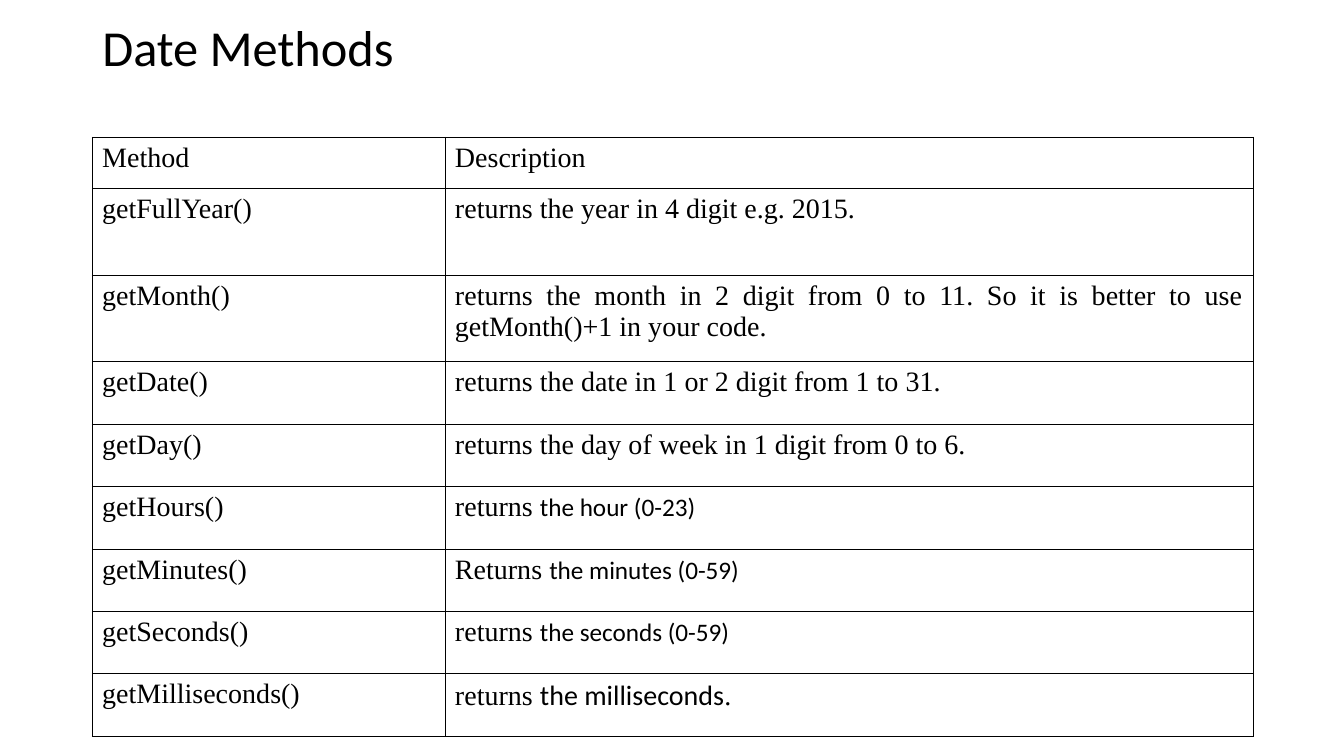
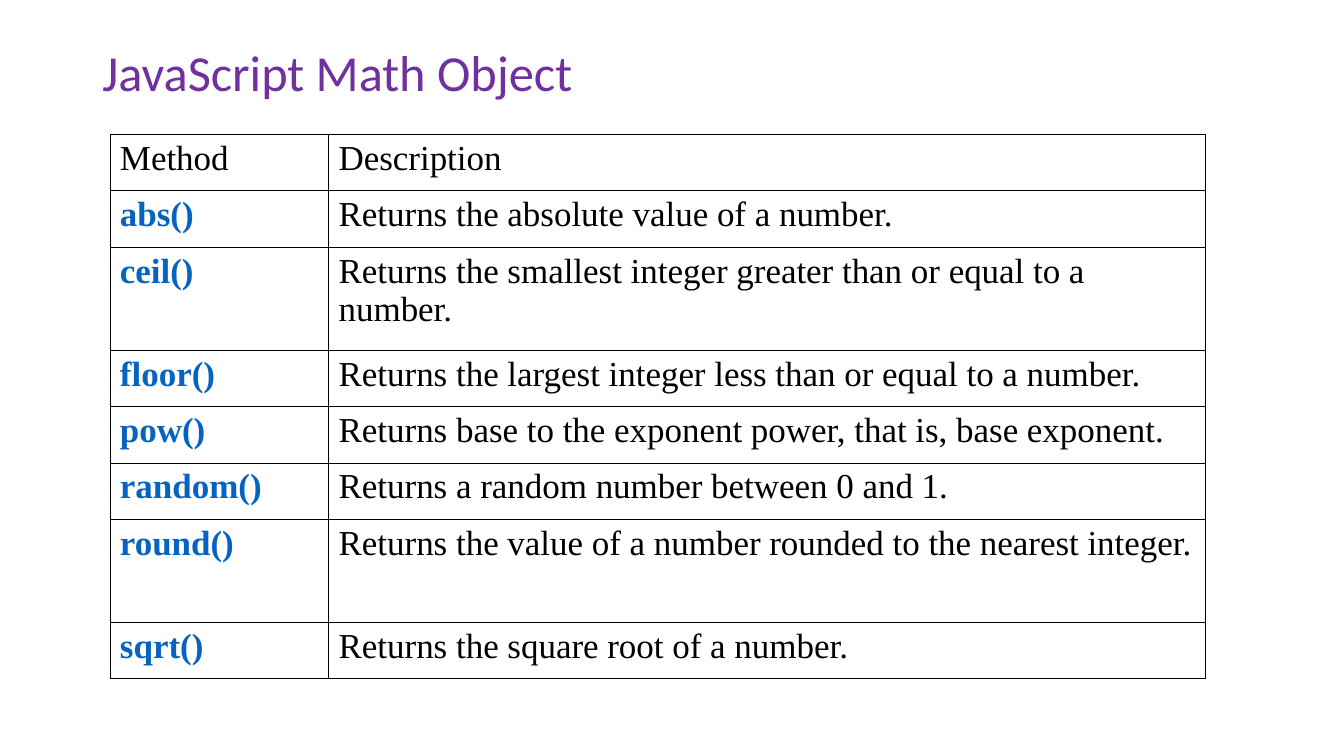
from dataclasses import dataclass

from lxml import etree
from pptx import Presentation
from pptx.dml.color import RGBColor
from pptx.enum import text
from pptx.oxml import ns
from pptx.util import Pt

BLACK = RGBColor(0x00, 0x00, 0x00)
WHITE = RGBColor(0xFF, 0xFF, 0xFF)
PURPLE = RGBColor(0x70, 0x30, 0xA0)
BLUE = RGBColor(0x05, 0x63, 0xC1)
SANS, SERIF = "Calibri", "Times New Roman"
LEFT, JUSTIFY = text.PP_ALIGN.LEFT, text.PP_ALIGN.JUSTIFY
HEADER = ("Method", "Description")


@dataclass(frozen=True)
class Run:
    words: str
    size: float
    name: str = SERIF
    color: RGBColor = BLACK
    bold: bool = False


@dataclass(frozen=True)
class Row:
    method: str
    description: str
    height: float
    # Closing words of the description that have their own format
    ending: tuple[Run, ...] = ()


@dataclass(frozen=True)
class MethodSlide:
    title: str
    title_color: RGBColor
    title_top: float
    left: float
    top: float
    widths: tuple[float, float]
    size: float
    method_color: RGBColor
    method_bold: bool
    alignment: text.PP_ALIGN
    rows: tuple[Row, ...]


# Row heights: header, one line, two lines
DATE_HEAD, DATE_LINE, DATE_TALL = 36.6, 44.6, 61.9
MATH_LINE, MATH_TALL = 40.3, 73.5

SLIDES = (
    MethodSlide(
        "Date Methods", BLACK, 11, 65.8, 98, (252, 577.2), 20, BLACK, False, JUSTIFY,
        (
            Row(*HEADER, DATE_HEAD),
            Row("getFullYear()", "returns the year in 4 digit e.g. 2015.", DATE_TALL),
            Row("getMonth()",
                "returns the month in 2 digit from 0 to 11. So it is better to use "
                "getMonth()+1 in your code.", DATE_TALL),
            Row("getDate()", "returns the date in 1 or 2 digit from 1 to 31.", DATE_LINE),
            Row("getDay()", "returns the day of week in 1 digit from 0 to 6.", DATE_LINE),
            Row("getHours()", "returns ", DATE_LINE, (Run("the hour (0-23)", 18, SANS),)),
            Row("getMinutes()", "Returns ", DATE_LINE, (Run("the minutes (0-59)", 18, SANS),)),
            Row("getSeconds()", "returns ", DATE_LINE, (Run("the seconds (0-59)", 18, SANS),)),
            Row("getMilliseconds()", "returns ", DATE_LINE,
                (Run("the milliseconds", 20, SANS), Run(".", 20))),
        ),
    ),
    MethodSlide(
        "JavaScript Math Object", PURPLE, 29, 78.5, 96, (156.2, 626.4), 25, BLUE, True, LEFT,
        (
            Row(*HEADER, MATH_LINE),
            Row("abs()", "Returns the absolute value of a number.", MATH_LINE),
            Row("ceil()", "Returns the smallest integer greater than or equal to a number.",
                MATH_TALL),
            Row("floor()", "Returns the largest integer less than or equal to a number.",
                MATH_LINE),
            Row("pow()", "Returns base to the exponent power, that is, base exponent.",
                MATH_LINE),
            Row("random()", "Returns a random number between 0 and 1.", MATH_LINE),
            Row("round()", "Returns the value of a number rounded to the nearest integer.",
                MATH_TALL),
            Row("sqrt()", "Returns the square root of a number.", MATH_LINE),
        ),
    ),
)


def write_runs(paragraph, runs: tuple[Run, ...]) -> None:
    for item in runs:
        run = paragraph.add_run()
        run.text = item.words
        font_format = {"name": item.name, "size": Pt(item.size), "bold": item.bold}
        for attribute, value in font_format.items():
            setattr(run.font, attribute, value)
        run.font.color.rgb = item.color


def add_title(slide, page: MethodSlide) -> None:
    shape = slide.shapes.add_textbox(Pt(66), Pt(page.title_top), Pt(828), Pt(49))
    frame = shape.text_frame
    frame.word_wrap = True
    frame.vertical_anchor = text.MSO_ANCHOR.MIDDLE
    paragraph = frame.paragraphs[0]
    paragraph.line_spacing = 0.9
    write_runs(paragraph, (Run(page.title, 36, SANS, page.title_color),))


def style_cell(cell) -> None:
    """Give a cell thin black borders and a white fill."""
    properties = cell._tc.get_or_add_tcPr()
    for side in ("lnL", "lnR", "lnT", "lnB"):
        line = etree.SubElement(properties, ns.qn(f"a:{side}"), w=str(Pt(0.5)))
        fill = etree.SubElement(line, ns.qn("a:solidFill"))
        etree.SubElement(fill, ns.qn("a:srgbClr"), val=str(BLACK))
    cell.fill.solid()
    cell.fill.fore_color.rgb = WHITE


def add_method_table(slide, page: MethodSlide) -> None:
    table = slide.shapes.add_table(
        len(page.rows), len(page.widths), Pt(page.left), Pt(page.top),
        Pt(sum(page.widths)), Pt(sum(row.height for row in page.rows)),
    ).table
    table.first_row = table.horz_banding = False
    for column, width in zip(table.columns, page.widths):
        column.width = Pt(width)

    for index, row in enumerate(page.rows):
        table.rows[index].height = Pt(row.height)
        if index == 0:
            method = Run(row.method, page.size)
        else:
            method = Run(row.method, page.size, SERIF, page.method_color, page.method_bold)
        description = (Run(row.description, page.size), *row.ending)
        for cell, runs in zip(table.rows[index].cells, ((method,), description)):
            style_cell(cell)
            paragraph = cell.text_frame.paragraphs[0]
            paragraph.alignment = page.alignment if index else LEFT
            write_runs(paragraph, runs)


def main() -> None:
    presentation = Presentation()
    presentation.slide_width, presentation.slide_height = Pt(960), Pt(540)
    blank = presentation.slide_layouts[6]
    for page in SLIDES:
        slide = presentation.slides.add_slide(blank)
        add_method_table(slide, page)
        add_title(slide, page)
    presentation.save("out.pptx")


if __name__ == "__main__":
    main()
